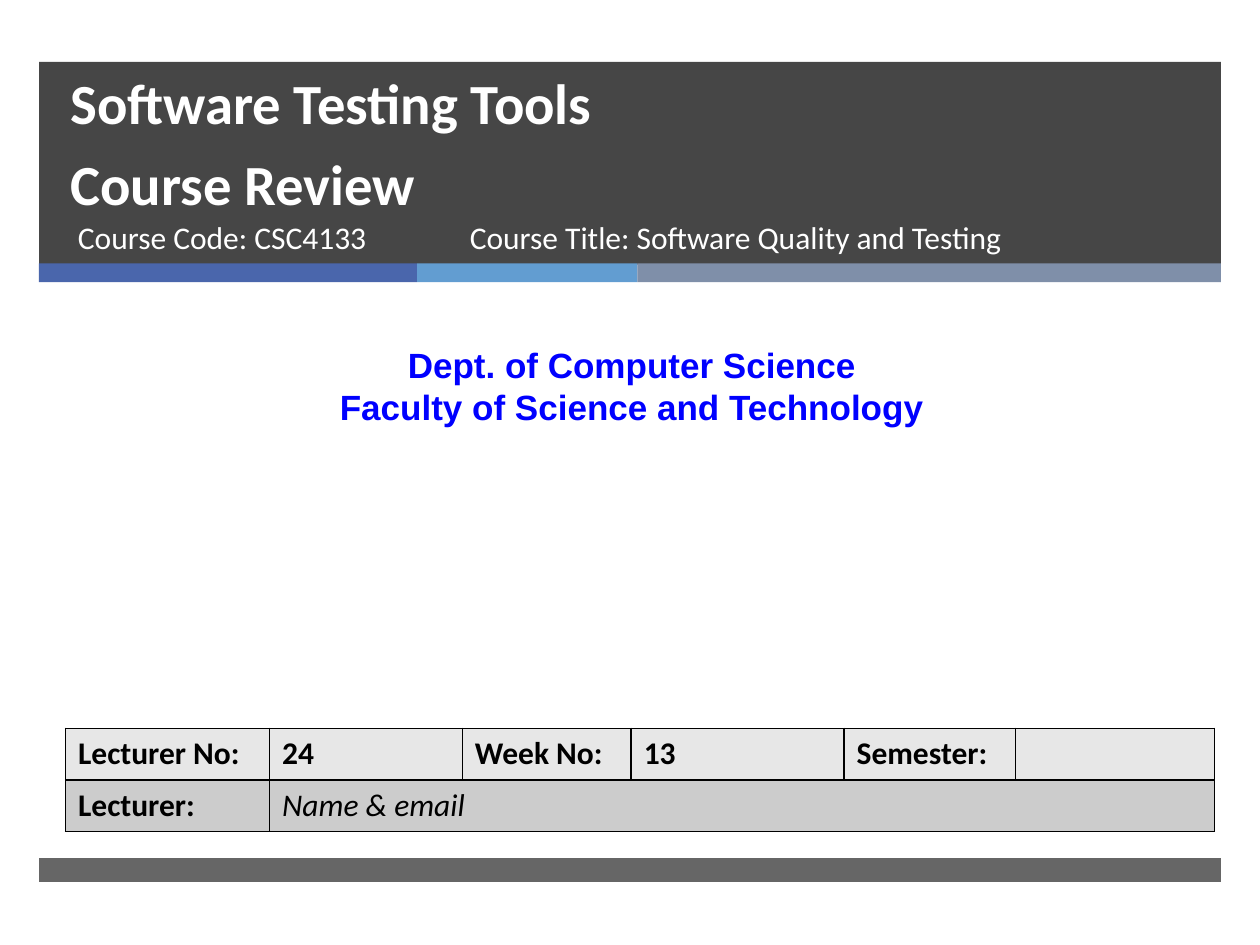
from lxml import etree
from pptx import Presentation
from pptx.dml.color import RGBColor
from pptx.enum import shapes, text
from pptx.oxml import ns
from pptx.util import Inches, Pt


def paint(fill, color, alpha=None):
    fill.solid()
    fill.fore_color.rgb = RGBColor.from_string(color)
    if alpha is not None:
        srgb = fill._xPr.find(".//" + ns.qn("a:srgbClr"))
        etree.SubElement(srgb, ns.qn("a:alpha"), val=str(alpha * 1000))


def write(frame, words, size=18, color="FFFFFF", font="Calibri", bold=False,
          italic=False, align=text.PP_ALIGN.LEFT, spacing=None):
    """One paragraph per newline; a vertical tab breaks the line."""
    frame.word_wrap = True
    for i, line in enumerate(words.split("\n")):
        paragraph = frame.add_paragraph() if i else frame.paragraphs[0]
        paragraph.text = line
        paragraph.alignment = align
        paragraph.line_spacing = spacing
        for run in paragraph.runs:
            run.font.size, run.font.name = Pt(size), font
            run.font.bold, run.font.italic = bold, italic
            paint(run.font.fill, color)


prs = Presentation()
prs.slide_width, prs.slide_height = Inches(10), Inches(7.5)
slide = prs.slides.add_slide(prs.slide_layouts[6])

# Header band, accent strip and footer band
for left, top, width, height, color, alpha in [
    (0.31, 0.49, 9.38, 1.61, "262626", 85),
    (0.31, 2.09, 3, 0.15, "4A66AC", None),
    (3.31, 2.09, 1.75, 0.15, "629DD1", None),
    (5.06, 2.09, 4.63, 0.15, "7F8FA9", None),
    (0.31, 6.81, 9.38, 0.19, "262626", 70),
]:
    band = slide.shapes.add_shape(
        shapes.MSO_SHAPE.RECTANGLE,
        Inches(left), Inches(top), Inches(width), Inches(height))
    band.shadow.inherit = False
    band.line.fill.background()
    paint(band.fill, color, alpha)

# Title, course details and department
for left, top, width, height, words, style in [
    (0.46, 0.56, 8.54, 1.21, "Software Testing Tools\vCourse Review",
     dict(size=32.4, bold=True, spacing=Pt(46))),
    (0.52, 1.68, 3.05, 0.53, "Course Code: CSC4133", {}),
    (3.63, 1.68, 4.55, 0.53, "Course Title: Software Quality and Testing", {}),
    (0.08, 2.68, 9.87, 0.77,
     "Dept. of Computer Science\nFaculty of Science and Technology",
     dict(size=20, color="0000FF", font="Arial", bold=True,
          align=text.PP_ALIGN.CENTER)),
]:
    box = slide.shapes.add_textbox(
        Inches(left), Inches(top), Inches(width), Inches(height))
    if "spacing" in style:
        box.text_frame.vertical_anchor = text.MSO_ANCHOR.BOTTOM
    write(box.text_frame, words, **style)

# Lecture table
rows = [
    ("E7E7E7", ["Lecturer No:", "24", "Week No:", "13", "Semester:", ""]),
    ("CCCCCC", ["Lecturer:", "Name & email", "", "", "", ""]),
]
col_widths = [1.62, 1.53, 1.34, 1.69, 1.36, 1.58]
lecture = slide.shapes.add_table(
    len(rows), len(col_widths), Inches(0.52), Inches(5.78),
    Inches(sum(col_widths)), Inches(0.82)).table
for column, width in zip(lecture.columns, col_widths):
    column.width = Inches(width)

for r, (shade, labels) in enumerate(rows):
    lecture.rows[r].height = Inches(0.41)
    for c, label in enumerate(labels):
        cell = lecture.cell(r, c)
        email = label == "Name & email"
        write(cell.text_frame, label, color="000000", bold=not email, italic=email)
        # Black border on every side
        props = cell._tc.get_or_add_tcPr()
        for side in ("lnL", "lnR", "lnT", "lnB"):
            line = etree.SubElement(props, ns.qn("a:" + side), w=str(Pt(1)))
            solid = etree.SubElement(line, ns.qn("a:solidFill"))
            etree.SubElement(solid, ns.qn("a:srgbClr"), val="000000")
        paint(cell.fill, shade)
lecture.cell(1, 1).merge(lecture.cell(1, 5))

prs.save("out.pptx")
